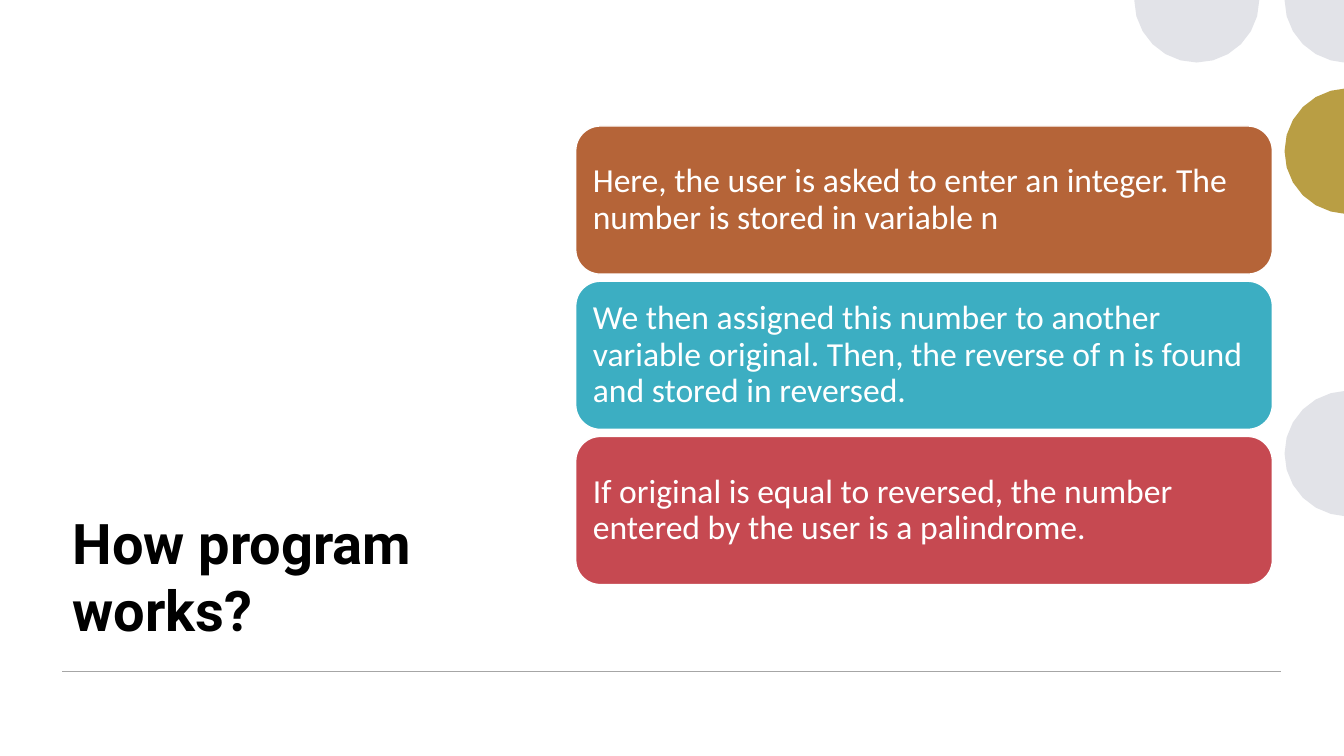
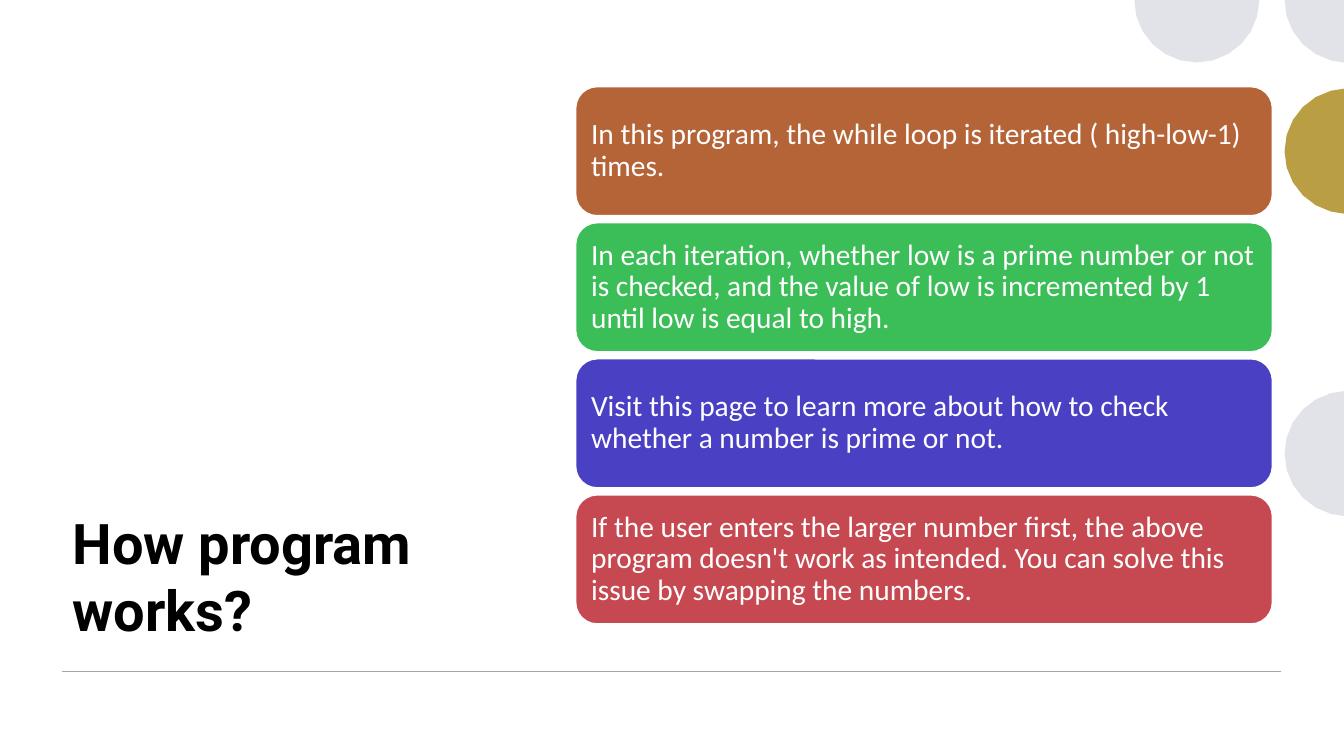
from math import cos, radians, sin

from lxml import etree
from pptx import Presentation
from pptx.dml.color import RGBColor
from pptx.enum.shapes import MSO_CONNECTOR, MSO_SHAPE
from pptx.enum.text import MSO_ANCHOR, PP_ALIGN
from pptx.oxml.ns import qn
from pptx.util import Inches, Pt

ROUNDED = MSO_SHAPE.ROUNDED_RECTANGLE
STRAIGHT = MSO_CONNECTOR.STRAIGHT
MIDDLE, BOTTOM = MSO_ANCHOR.MIDDLE, MSO_ANCHOR.BOTTOM
LEFT = PP_ALIGN.LEFT

BLACK = RGBColor(0x00, 0x00, 0x00)
WHITE = RGBColor(0xFF, 0xFF, 0xFF)
PALE = RGBColor(0xE2, 0xE3, 0xE8)
GOLD = RGBColor(0xB9, 0x9E, 0x44)
GREY = RGBColor(0xA6, 0xA6, 0xA6)
RUST = RGBColor(0xB5, 0x64, 0x38)
TEAL = RGBColor(0x3C, 0xAE, 0xC2)
GREEN = RGBColor(0x3B, 0xBD, 0x57)
INDIGO = RGBColor(0x4A, 0x40, 0xC3)
RED = RGBColor(0xC6, 0x49, 0x51)

TITLE_FONT, BODY_FONT = "Roboto", "Calibri"
PAGE_WIDTH, PAGE_HEIGHT = 13.33, 7.5
CIRCLE_RADIUS = 0.62
ARC_STEP = 15
CIRCLES = [  # centre x, centre y, first and last angle, colour
    (11.87, 0, 0, 180, PALE),
    (13.36, 4.5, 90, 270, PALE),
    (13.36, 1.5, 90, 270, GOLD),
    (13.36, 0, 90, 180, PALE),
]
CARD_LEFT, CARD_WIDTH, CARD_GAP = 5.71, 6.91, 0.07

PAGES = [
    dict(title="How program works?", top=1.25, height=1.47, size=24, margin=0.1, cards=[
        ("Here, the user is asked to enter an integer. The number is stored "
         "in variable n", RUST),
        ("We then assigned this number to another variable original. Then, "
         "the reverse of n is found and stored in reversed.", TEAL),
        ("If original is equal to reversed, the number entered by the user "
         "is a palindrome.", RED),
    ]),
    dict(title="How program works?", top=0.86, height=1.28, size=21, margin=0.09, cards=[
        ("In this program, the while loop is iterated ( high-low-1) times.", RUST),
        ("In each iteration, whether low is a prime number or not is checked, "
         "and the value of low is incremented by 1 until low is equal to high.",
         GREEN),
        ("Visit this page to learn more about how to check whether a number "
         "is prime or not.", INDIGO),
        ("If the user enters the larger number first, the above program "
         "doesn't work as intended. You can solve this issue by swapping "
         "the numbers.", RED),
    ]),
]


def write_text(frame, text, *, font, size, color, bold=False, anchor=MIDDLE,
               line_spacing=1.0):
    frame.word_wrap = True
    frame.vertical_anchor = anchor
    para = frame.paragraphs[0]
    para.alignment = LEFT
    para.line_spacing = line_spacing
    span = para.add_run()
    span.text = text
    span.font.name = font
    span.font.size = Pt(size)
    span.font.bold = bold
    span.font.color.rgb = color


class Deck:
    """Holds the shared style and the page being built."""

    def __init__(self):
        self.file = Presentation()
        self.file.slide_width = Inches(PAGE_WIDTH)
        self.file.slide_height = Inches(PAGE_HEIGHT)
        self.page = None

    def add_page(self, title):
        self.page = self.file.slides.add_slide(self.file.slide_layouts[5])
        self.add_title(title)
        for circle in CIRCLES:
            self.add_edge_circle(*circle)
        self.add_rule(0.62, 12.71, 6.66)

    def add_title(self, text):
        box = self.page.shapes.title
        box.left, box.top = Inches(0.62), Inches(2.72)
        box.width, box.height = Inches(3.95), Inches(3.71)
        write_text(box.text_frame, text, font=TITLE_FONT, size=40, color=BLACK,
                   bold=True, anchor=BOTTOM)

    def add_edge_circle(self, x, y, first, last, color):
        """Draw the part of a circle that lies within the page edges."""
        points = []
        for degrees in range(first, last + 1, ARC_STEP):
            angle = radians(degrees)
            points.append((Inches(min(x + CIRCLE_RADIUS * cos(angle), PAGE_WIDTH)),
                           Inches(y + CIRCLE_RADIUS * sin(angle))))
        if last - first < 180:
            points.append((Inches(PAGE_WIDTH), Inches(y)))
        outline = self.page.shapes.build_freeform(*points[0])
        outline.add_line_segments(points[1:], close=True)
        circle = outline.convert_to_shape()
        circle.shadow.inherit = False
        circle.fill.solid()
        circle.fill.fore_color.rgb = color
        circle.line.fill.background()

    def add_rule(self, left, right, y):
        rule = self.page.shapes.add_connector(
            STRAIGHT, Inches(left), Inches(y), Inches(right), Inches(y))
        rule.line.color.rgb = GREY
        rule.line.width = Pt(1.1)
        properties = rule._element.find(qn("p:spPr"))
        etree.SubElement(properties, qn("a:effectLst"))

    def add_card(self, text, color, top, height, size, margin):
        card = self.page.shapes.add_shape(
            ROUNDED, Inches(CARD_LEFT), Inches(top), Inches(CARD_WIDTH), Inches(height))
        card.shadow.inherit = False
        card.fill.solid()
        card.fill.fore_color.rgb = color
        card.line.color.rgb = WHITE
        card.line.width = Pt(1)
        frame = card.text_frame
        frame.margin_left = frame.margin_right = Inches(margin)
        frame.margin_top = frame.margin_bottom = Inches(margin)
        write_text(frame, text, font=BODY_FONT, size=size, color=WHITE,
                   line_spacing=0.9)

    def add_card_stack(self, cards, top, height, size, margin):
        for index, (text, color) in enumerate(cards):
            card_top = top + index * (height + CARD_GAP)
            self.add_card(text, color, card_top, height, size, margin)


def main():
    deck = Deck()
    for content in PAGES:
        deck.add_page(content["title"])
        deck.add_card_stack(content["cards"], content["top"], content["height"],
                            content["size"], content["margin"])
    deck.file.save("out.pptx")


if __name__ == "__main__":
    main()
